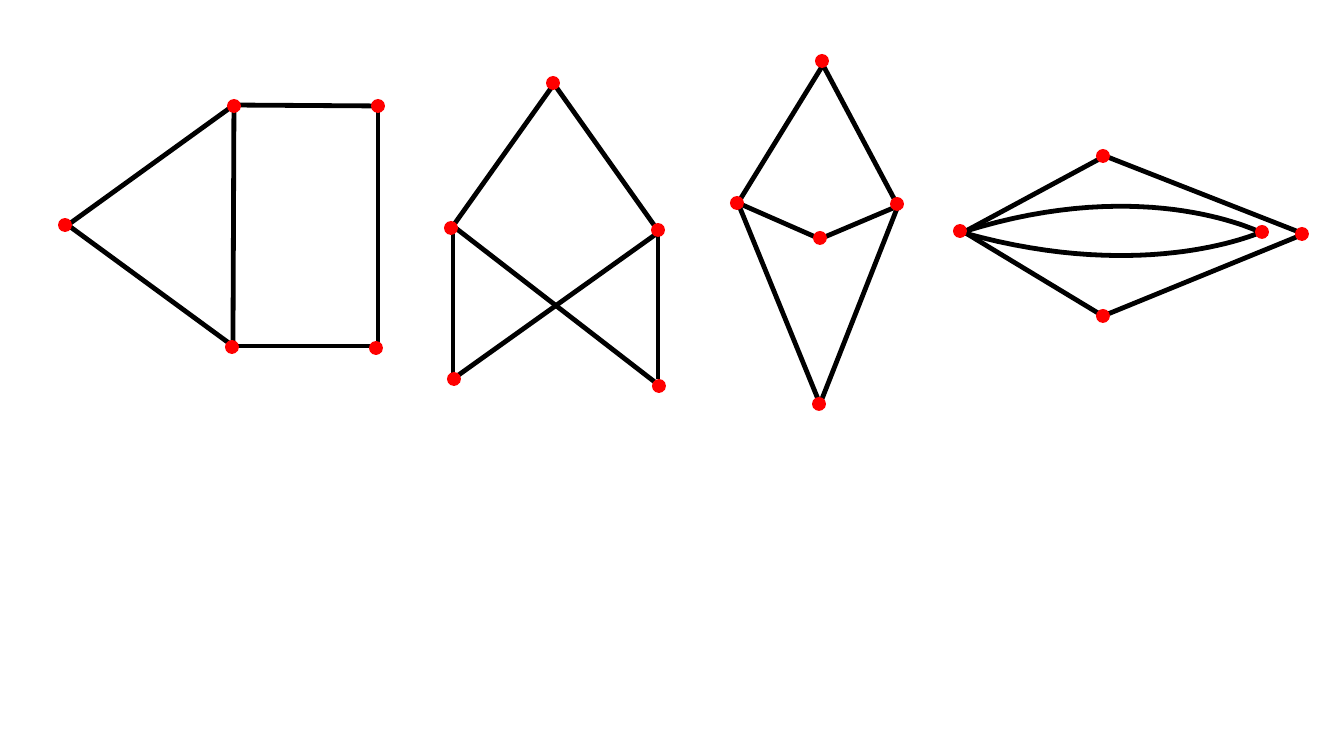
from pptx import Presentation
from pptx.dml.color import RGBColor
from pptx.enum.shapes import MSO_CONNECTOR, MSO_SHAPE
from pptx.oxml.ns import qn
from pptx.util import Pt
from lxml.etree import SubElement

# Content: each graph has edges (x1, y1, x2, y2), Bezier curves and vertex centres, in px
GRAPHS = {
    "house": {
        "edges": [
            (233, 346, 378, 346), (234, 105, 233, 346), (378, 106, 378, 346),
            (231, 105, 378, 106), (234, 105, 65, 227), (65, 223, 233, 346),
        ],
        "curves": [],
        "vertices": [(234, 106), (65, 225), (376, 348), (232, 347), (378, 106)],
    },
    "crossed": {
        "edges": [
            (659, 232, 554, 84), (554, 84, 453, 226), (659, 232, 453, 379),
            (453, 226, 453, 379), (453, 226, 660, 386), (658, 232, 658, 379),
        ],
        "curves": [],
        "vertices": [(659, 386), (451, 228), (553, 83), (454, 379), (658, 230)],
    },
    "kite": {
        "edges": [
            (738, 203, 823, 65), (898, 206, 823, 65), (898, 206, 820, 239),
            (820, 239, 738, 203), (820, 404, 898, 206), (820, 404, 738, 203),
        ],
        "curves": [],
        "vertices": [(822, 61), (737, 203), (820, 238), (897, 204), (819, 404)],
    },
    "lens": {
        "edges": [
            (1103, 316, 964, 232), (1105, 156, 964, 232),
            (1304, 234, 1105, 156), (1304, 234, 1103, 316),
        ],
        "curves": [
            [(964, 233), (1150, 285), (1264, 231), (1264, 231)],
            [(963, 232), (1149, 173), (1264, 234), (1264, 234)],
        ],
        "vertices": [(960, 231), (1103, 316), (1262, 232), (1103, 156), (1302, 234)],
    },
}
COLORS = {"edge": "000000", "vertex": "FF0000"}
EDGE_WIDTH = Pt(2.83)
DOT = 14
CURVE_STEPS = 32


def px(n):
    return round(n * 914400 / 122)


def style_line(s):
    s.line.color.rgb = RGBColor.from_string(COLORS["edge"])
    s.line.width = EDGE_WIDTH


def add_edge(x1, y1, x2, y2):
    s = shapes.add_connector(MSO_CONNECTOR.STRAIGHT, px(x1), px(y1), px(x2), px(y2))
    style_line(s)
    SubElement(s._element.spPr, qn("a:effectLst"))


def bezier_point(controls, t):
    weights = ((1 - t) ** 3, 3 * t * (1 - t) ** 2, 3 * t ** 2 * (1 - t), t ** 3)
    return tuple(px(sum(w * c for w, c in zip(weights, axis))) for axis in zip(*controls))


def add_curve(controls):
    points = [bezier_point(controls, i / CURVE_STEPS) for i in range(CURVE_STEPS + 1)]
    builder = shapes.build_freeform(*points[0])
    builder.add_line_segments(points[1:], close=False)
    s = builder.convert_to_shape()
    s.shadow.inherit = False
    s.fill.background()
    style_line(s)


def add_vertex(x, y):
    s = shapes.add_shape(MSO_SHAPE.OVAL, px(x - DOT / 2), px(y - DOT / 2), px(DOT), px(DOT))
    s.shadow.inherit = False
    s.fill.solid()
    s.fill.fore_color.rgb = RGBColor.from_string(COLORS["vertex"])
    s.line.fill.background()


# Slide
prs = Presentation()
prs.slide_width, prs.slide_height = px(1344), px(756)
shapes = prs.slides.add_slide(prs.slide_layouts[6]).shapes

# Graphs, with the vertices on top of their edges
for graph in GRAPHS.values():
    for controls in graph["curves"]:
        add_curve(controls)
    for edge in graph["edges"]:
        add_edge(*edge)
    for vertex in graph["vertices"]:
        add_vertex(*vertex)

prs.save("out.pptx")
